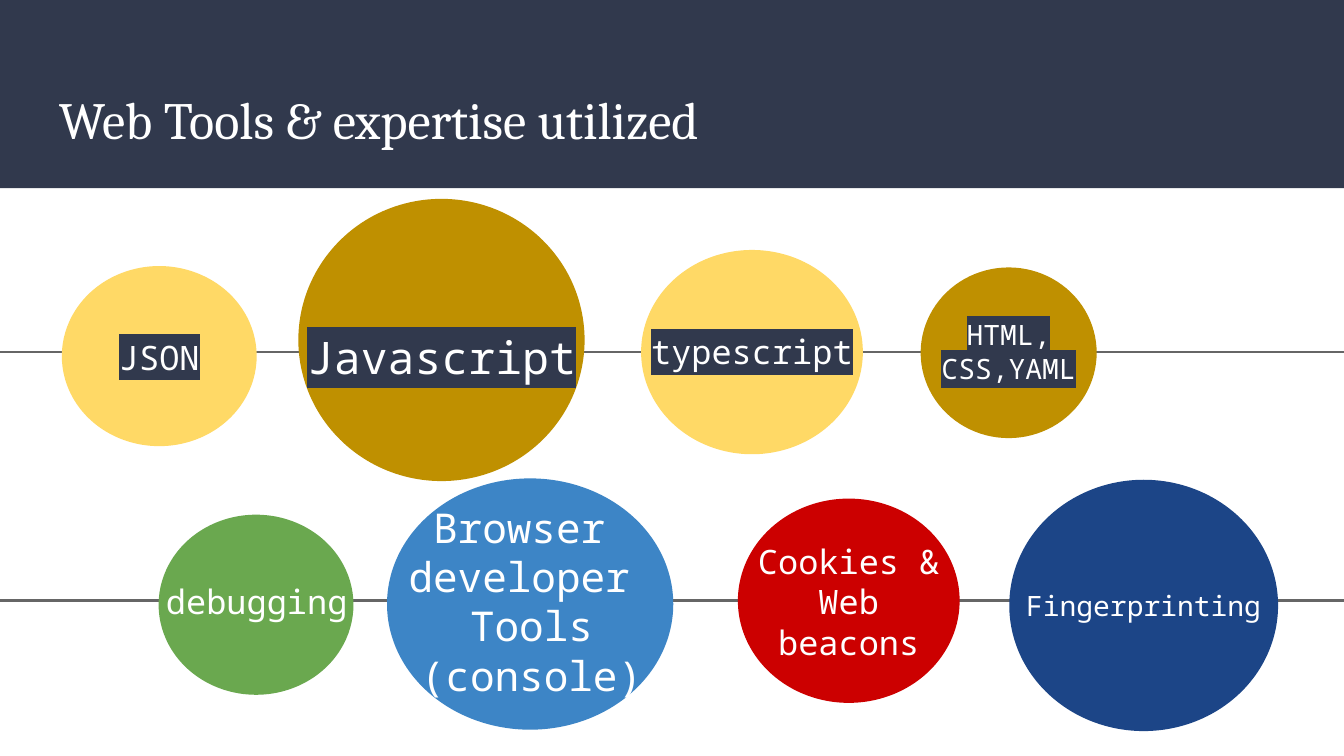
import pptx
import pptx.util
import pptx.dml.color
import pptx.enum.shapes
import pptx.enum.text
import pptx.oxml
import pptx.oxml.ns
import lxml.etree

Inches = pptx.util.Inches
RGBColor = pptx.dml.color.RGBColor
SHAPE = pptx.enum.shapes.MSO_SHAPE
ANCHOR = pptx.enum.text.MSO_ANCHOR
ALIGN = pptx.enum.text.PP_ALIGN
qn = pptx.oxml.ns.qn

NAVY = RGBColor(0x31, 0x39, 0x4D)
WHITE = RGBColor(0xFF, 0xFF, 0xFF)
GRAY = RGBColor(0x66, 0x66, 0x66)
YELLOW = RGBColor(0xFF, 0xD9, 0x66)
GOLD = RGBColor(0xBF, 0x90, 0x00)
GREEN = RGBColor(0x6A, 0xA8, 0x4F)
BLUE = RGBColor(0x3D, 0x85, 0xC6)
RED = RGBColor(0xCC, 0x00, 0x00)
DEEP_BLUE = RGBColor(0x1C, 0x45, 0x87)

# Widescreen, 16:9
deck = pptx.Presentation()
deck.slide_width = Inches(10)
deck.slide_height = Inches(10 * 9 / 16)
slide = deck.slides.add_slide(deck.slide_layouts[6])


def add_filled(kind, box, color):
    """Add a flat shape without outline; box is left, top, width, height."""
    shape = slide.shapes.add_shape(kind, *map(Inches, box))
    shape.shadow.inherit = False
    shape.fill.solid()
    shape.fill.fore_color.rgb = color
    shape.line.fill.background()


def add_label(box, lines, size, font, align, anchor, highlight=None):
    """Add white text, one paragraph per line, optionally highlighted."""
    label = slide.shapes.add_textbox(*map(Inches, box))
    frame = label.text_frame
    frame.word_wrap = True
    frame.vertical_anchor = anchor
    frame.margin_left = frame.margin_right = Inches(0.1)
    frame.margin_top = frame.margin_bottom = Inches(0.1)
    for i, line in enumerate(lines):
        paragraph = frame.add_paragraph() if i else frame.paragraphs[0]
        paragraph.alignment = align
        run = paragraph.add_run()
        run.text = line
        run.font.size = pptx.util.Pt(size)
        run.font.name = font
        run.font.color.rgb = WHITE
        if highlight is not None:
            mark = pptx.oxml.parse_xml(
                '<a:highlight xmlns:a="http://schemas.openxmlformats.org/drawingml/2006/main">'
                f'<a:srgbClr val="{highlight}"/></a:highlight>')
            run.font._element.find(qn("a:latin")).addprevious(mark)


add_filled(SHAPE.RECTANGLE, (0, 0, 10, 1.4), NAVY)
add_label((0.34, 0.55, 9.32, 0.68), ["Web Tools & expertise utilized"],
          28, "Cambria", ALIGN.LEFT, ANCHOR.TOP)

# Each bubble: circle box, color, label box, lines, text size
languages = [
    ((0.46, 1.98, 1.45, 1.34), YELLOW, (0.46, 2.35, 1.45, 0.61), ["JSON"], 18),
    ((2.22, 1.48, 2.13, 2.1), GOLD, (1.67, 2.35, 3.23, 0.61), ["Javascript"], 24),
    ((4.77, 1.86, 1.65, 1.52), YELLOW, (4.68, 2.31, 1.83, 0.61), ["typescript"], 18),
    ((6.85, 1.99, 1.31, 1.27), GOLD, (6.85, 2.31, 1.31, 0.61), ["HTML, CSS,YAML"], 15),
]
expertise = [
    ((1.18, 3.83, 1.45, 1.34), GREEN, (1.12, 4.17, 1.58, 0.61), ["debugging"], 18),
    ((2.88, 3.56, 2.13, 1.87), BLUE, (2.34, 3.8, 3.23, 1.34),
     ["Browser ", "developer ", "Tools", "(console)"], 22),
    ((5.49, 3.71, 1.65, 1.52), RED, (5.4, 4.17, 1.83, 0.61), ["Cookies & Web beacons"], 18),
    ((7.51, 3.57, 2, 1.87), DEEP_BLUE, (7.36, 4.2, 2.3, 0.61), ["Fingerprinting"], 15),
]

for line_y, bubbles, highlight in ((2.62, languages, NAVY), (4.47, expertise, None)):
    thread = slide.shapes.add_connector(
        pptx.enum.shapes.MSO_CONNECTOR.STRAIGHT,
        Inches(0), Inches(line_y), Inches(10), Inches(line_y))
    thread.line.color.rgb = GRAY
    thread.line.width = pptx.util.Pt(1.5)
    lxml.etree.SubElement(thread._element.spPr, qn("a:effectLst"))
    for circle, color, label_box, lines, size in bubbles:
        add_filled(SHAPE.OVAL, circle, color)
        add_label(label_box, lines, size, "Noto Sans Mono",
                  ALIGN.CENTER, ANCHOR.MIDDLE, highlight)

deck.save("out.pptx")
